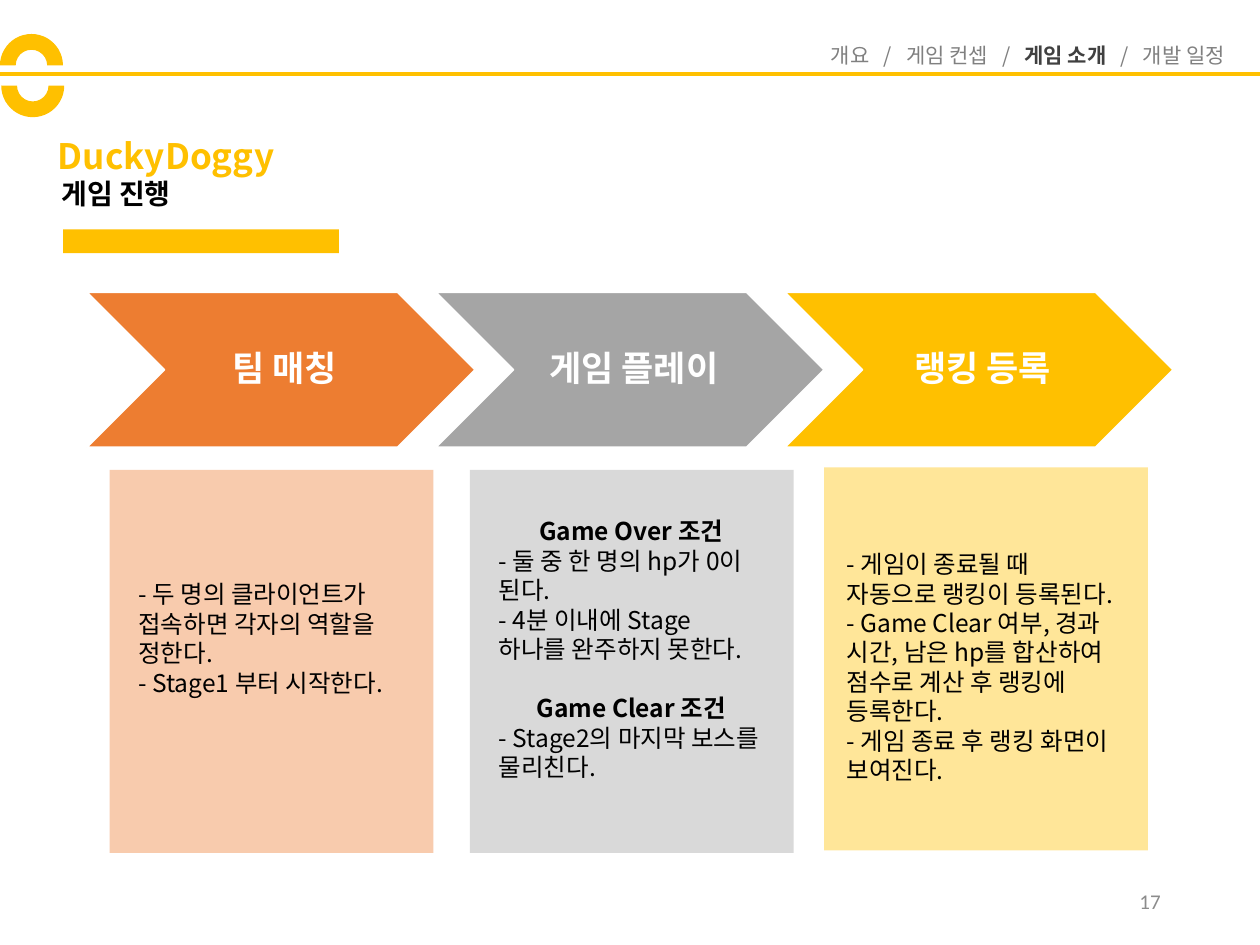
from dataclasses import dataclass

from lxml.etree import SubElement
from pptx import Presentation
from pptx.dml.color import RGBColor
from pptx.enum.shapes import MSO_CONNECTOR, MSO_SHAPE
from pptx.enum.text import MSO_ANCHOR, MSO_AUTO_SIZE, PP_ALIGN
from pptx.oxml.ns import qn
from pptx.util import Inches, Pt

FONT = "Noto Sans CJK KR"
GOLD = RGBColor(0xFF, 0xC0, 0x00)
ORANGE = RGBColor(0xED, 0x7D, 0x31)
GRAY = RGBColor(0xA5, 0xA5, 0xA5)
PEACH = RGBColor(0xF8, 0xCB, 0xAD)
SILVER = RGBColor(0xD9, 0xD9, 0xD9)
CREAM = RGBColor(0xFF, 0xE6, 0x99)
NAV_GRAY = RGBColor(0x80, 0x80, 0x80)
NAV_DARK = RGBColor(0x40, 0x40, 0x40)
PAGE_GRAY = RGBColor(0x8C, 0x8C, 0x8C)
BLACK = RGBColor(0, 0, 0)
WHITE = RGBColor(0xFF, 0xFF, 0xFF)


@dataclass
class Box:
    left: float
    top: float
    width: float
    height: float

    def emu(self) -> tuple:
        return tuple(Inches(v) for v in (self.left, self.top, self.width, self.height))


@dataclass
class Line:
    text: str
    heading: bool = False
    space_before: float = 0


@dataclass
class Step:
    title: str
    color: RGBColor
    panel_color: RGBColor
    panel: Box
    text_box: Box
    lines: list[Line]


STEPS = [
    Step("팀 매칭", ORANGE, PEACH, Box(0.87, 3.73, 2.57, 3.04), Box(1, 4.55, 2.3, 1.04), [
        Line("- 두 명의 클라이언트가 접속하면 각자의 역할을 정한다."),
        Line("- Stage1 부터 시작한다."),
    ]),
    Step("게임 플레이", GRAY, SILVER, Box(3.73, 3.73, 2.57, 3.04), Box(3.86, 4.05, 2.3, 2.46), [
        Line("Game Over 조건", heading=True),
        Line("- 둘 중 한 명의 hp가 0이 된다."),
        Line("- 4분 이내에 Stage 하나를 완주하지 못한다."),
        Line("Game Clear 조건", heading=True, space_before=17),
        Line("- Stage2의 마지막 보스를 물리친다."),
    ]),
    Step("랭킹 등록", GOLD, CREAM, Box(6.54, 3.71, 2.57, 3.04), Box(6.62, 4.31, 2.3, 1.99), [
        Line("- 게임이 종료될 때 자동으로 랭킹이 등록된다."),
        Line("- Game Clear 여부, 경과 시간, 남은 hp를 합산하여 점수로 계산 후 랭킹에 등록한다."),
        Line("- 게임 종료 후 랭킹 화면이 보여진다."),
    ]),
]


def set_font(font, size: float, color: RGBColor, bold: bool = False, name: str = FONT) -> None:
    font.size = Pt(size)
    font.bold = bold
    font.color.rgb = color
    font.name = name
    SubElement(font._element, qn("a:ea")).set("typeface", name)


def add_shape(s, kind, box: Box, color: RGBColor):
    sp = s.shapes.add_shape(kind, *box.emu())
    sp.shadow.inherit = False
    sp.fill.solid()
    sp.fill.fore_color.rgb = color
    sp.line.fill.background()
    return sp


def add_text(s, box: Box):
    tf = s.shapes.add_textbox(*box.emu()).text_frame
    tf.word_wrap = True
    return tf


def add_label(s, box: Box, text: str, size: float, color: RGBColor,
              bold: bool = False, name: str = FONT):
    tf = add_text(s, box)
    p = tf.paragraphs[0]
    p.text = text
    set_font(p.font, size, color, bold, name)
    return tf


def add_title(s) -> None:
    sp = s.shapes.title
    sp.left, sp.top, sp.width, sp.height = Box(0.36, 1.11, 3.85, 0.29).emu()
    tf = sp.text_frame
    tf.text = "DuckyDoggy"
    tf.auto_size = MSO_AUTO_SIZE.NONE
    tf.vertical_anchor = MSO_ANCHOR.MIDDLE
    p = tf.paragraphs[0]
    p.alignment = PP_ALIGN.LEFT
    p.line_spacing = 0.9
    set_font(p.font, 20, GOLD, True)


def add_navigation(s) -> None:
    line = s.shapes.add_connector(MSO_CONNECTOR.STRAIGHT, 0, Inches(0.59), Inches(10), Inches(0.59))
    line.line.color.rgb = GOLD
    line.line.width = Pt(2.25)
    SubElement(line._element.spPr, qn("a:effectLst"))
    add_shape(s, MSO_SHAPE.BLOCK_ARC, Box(0, 0.27, 0.5, 0.5), GOLD)
    add_shape(s, MSO_SHAPE.BLOCK_ARC, Box(0.01, 0.43, 0.5, 0.5), GOLD).rotation = 180
    p = add_text(s, Box(5.26, 0.29, 4.56, 0.3)).paragraphs[0]
    p.alignment = PP_ALIGN.RIGHT
    for text, current in [(" 개요   /   게임 컨셉   /   ", False), ("게임 소개", True),
                          ("   /   개발 일정", False)]:
        r = p.add_run()
        r.text = text
        set_font(r.font, 12, NAV_DARK if current else NAV_GRAY, current)


def add_step(s, index: int, step: Step) -> None:
    sp = add_shape(s, MSO_SHAPE.CHEVRON, Box(0.69 + 2.77 * index, 2.32, 3.08, 1.23), step.color)
    sp.line.color.rgb = WHITE
    sp.line.width = Pt(1)
    tf = sp.text_frame
    tf.margin_left = Inches(0.09)
    tf.margin_right = tf.margin_top = tf.margin_bottom = Inches(0.03)
    tf.vertical_anchor = MSO_ANCHOR.MIDDLE
    p = tf.paragraphs[0]
    p.text = step.title
    p.alignment = PP_ALIGN.CENTER
    p.line_spacing = 0.9
    set_font(p.font, 20, WHITE, True)

    add_shape(s, MSO_SHAPE.RECTANGLE, step.panel, step.panel_color)
    tf = add_text(s, step.text_box)
    for i, line in enumerate(step.lines):
        p = tf.add_paragraph() if i else tf.paragraphs[0]
        p.text = line.text
        p.alignment = PP_ALIGN.CENTER if line.heading else PP_ALIGN.LEFT
        p.space_before = Pt(line.space_before)
        set_font(p.font, 14, BLACK, line.heading)


def main() -> None:
    prs = Presentation()
    prs.slide_width, prs.slide_height = Inches(10), Inches(7.5)
    s = prs.slides.add_slide(prs.slide_layouts[5])
    add_title(s)
    add_navigation(s)
    add_label(s, Box(0.39, 1.35, 2.85, 0.37), "게임 진행", 16, BLACK, True)
    add_shape(s, MSO_SHAPE.RECTANGLE, Box(0.5, 1.82, 2.19, 0.19), GOLD)
    for i, step in enumerate(STEPS):
        add_step(s, i, step)
    tf = add_label(s, Box(7.06, 6.95, 2.25, 0.4), "17", 12, PAGE_GRAY, name="Calibri")
    tf.vertical_anchor = MSO_ANCHOR.MIDDLE
    tf.paragraphs[0].alignment = PP_ALIGN.RIGHT
    prs.save("out.pptx")


if __name__ == "__main__":
    main()
